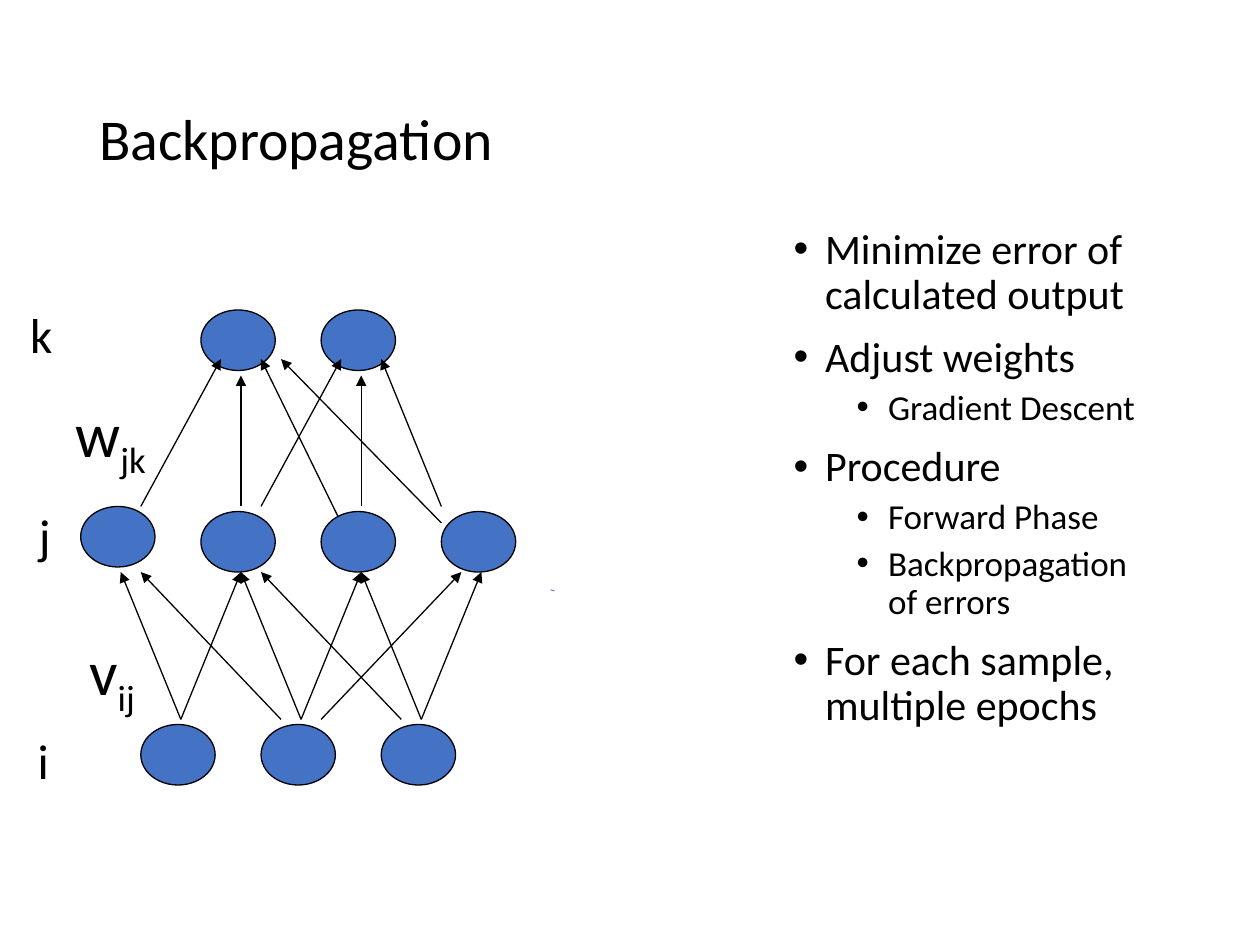
from lxml.etree import SubElement
from pptx import Presentation
from pptx.dml.color import RGBColor
from pptx.enum.shapes import MSO_CONNECTOR, MSO_SHAPE
from pptx.enum.text import MSO_ANCHOR, PP_ALIGN
from pptx.oxml.ns import qn
from pptx.util import Pt

BLACK = RGBColor(0x00, 0x00, 0x00)
BLUE = RGBColor(0x44, 0x72, 0xC4)
FONT = "Calibri"

# The network sits on columns of equal width; neurons are six columns apart.
FIRST_COLUMN, COLUMN = 69, 11.45
NEURON_WIDTH, NEURON_HEIGHT = 42.5, 34.6

deck = Presentation()
deck.slide_width, deck.slide_height = Pt(720), Pt(540)
page = deck.slides.add_slide(deck.slide_layouts[5])


def add_line(start, end, color=BLACK, width=0.75, arrow=True):
    line = page.shapes.add_connector(
        MSO_CONNECTOR.STRAIGHT, *(Pt(value) for value in (*start, *end)))
    line.line.color.rgb = color
    line.line.width = Pt(width)
    if arrow:
        SubElement(line.line._get_or_add_ln(), qn("a:tailEnd"), type="triangle")
    SubElement(line._element.spPr, qn("a:effectLst"))


def add_neurons(columns, top):
    for column in columns:
        neuron = page.shapes.add_shape(
            MSO_SHAPE.OVAL, Pt(FIRST_COLUMN + column * COLUMN), Pt(top),
            Pt(NEURON_WIDTH), Pt(NEURON_HEIGHT))
        neuron.shadow.inherit = False
        neuron.fill.solid()
        neuron.fill.fore_color.rgb = BLUE
        neuron.line.color.rgb = BLACK
        neuron.line.width = Pt(0.75)


# Title
title = page.shapes.title
title.left, title.top, title.width, title.height = Pt(49.5), Pt(28.8), Pt(621), Pt(104.4)
title.text_frame.text = "Backpropagation"
title.text_frame.vertical_anchor = MSO_ANCHOR.MIDDLE
para = title.text_frame.paragraphs[0]
para.alignment = PP_ALIGN.LEFT
para.line_spacing = 0.9
para.font.name, para.font.size = FONT, Pt(33)
para.font.color.rgb = BLACK

# Network: output layer k, weights w, hidden layer j, input layer i, weights v
add_neurons([4, 10], 177.1)
upper_edges = [  # from column, from y, to column, to y
    (1, 289.4, 5, 205.2), (7, 289.4, 11, 205.2), (16, 289.4, 13, 205.2),
    (11, 298.8, 7, 205.2), (16, 298.8, 8, 205.2),
    (12, 289.4, 12, 214.6), (6, 289.4, 6, 214.6),
]
lower_edges = [(start, 411.1, end, 326.9) for start, end in [
    (3, 6), (15, 18), (15, 12), (9, 6), (14, 7), (8, 1), (3, 0), (9, 12), (10, 17)]]
for start, start_y, end, end_y in upper_edges + lower_edges:
    add_line((FIRST_COLUMN + start * COLUMN, start_y),
             (FIRST_COLUMN + end * COLUMN, end_y))
add_neurons([-2], 289.4)
add_neurons([4, 10, 16], 292.3)
add_neurons([1, 7, 13], 414)
add_line((316.8, 337.7), (314.6, 337), BLUE, 0.5, arrow=False)

# Layer and weight labels
labels = [  # letter, subscript, left, top, width, height, size
    ("i", "", 14.4, 414, 16, 41, 28),
    ("j", "", 15.1, 285.1, 16.6, 41, 28),
    ("k", "", 10.1, 170.6, 28, 41, 28),
    ("v", "ij", 43.9, 357.8, 70.6, 51.1, 36),
    ("w", "jk", 36, 221.8, 66.2, 51.1, 36),
]
for letter, subscript, left, top, width, height, size in labels:
    box = page.shapes.add_textbox(Pt(left), Pt(top), Pt(width), Pt(height))
    box.text_frame.word_wrap = True
    para = box.text_frame.paragraphs[0]
    para.text = letter
    if subscript:
        para.add_run().text = subscript
    for span in para.runs:
        span.font.name, span.font.size = FONT, Pt(size)
        span.font.color.rgb = BLACK
    if subscript:
        para.runs[1].font._element.set("baseline", "-25000")

# Bullet list
points = [
    (0, "Minimize error of \vcalculated output"),
    (0, "Adjust weights"),
    (1, "Gradient Descent"),
    (0, "Procedure"),
    (1, "Forward Phase"),
    (1, "Backpropagation \vof errors"),
    (0, "For each sample, \vmultiple epochs"),
]
box = page.shapes.add_textbox(Pt(446.4), Pt(126.7), Pt(421.2), Pt(342.7))
frame = box.text_frame
frame.word_wrap = True
for index, (level, text) in enumerate(points):
    para = frame.add_paragraph() if index else frame.paragraphs[0]
    para.text = text
    para.level = level
    para.line_spacing = 0.9
    if index:
        para.space_before = Pt(5 if level else 10)
    properties = para._p.get_or_add_pPr()
    properties.set("marL", str(Pt(54 if level else 18)))
    properties.set("indent", str(Pt(-18)))
    SubElement(properties, qn("a:buFont"), typeface="Arial")
    SubElement(properties, qn("a:buChar"), char="•")
    para.font.name, para.font.size = FONT, Pt(20 if level else 24)
    para.font.color.rgb = BLACK

deck.save("out.pptx")
